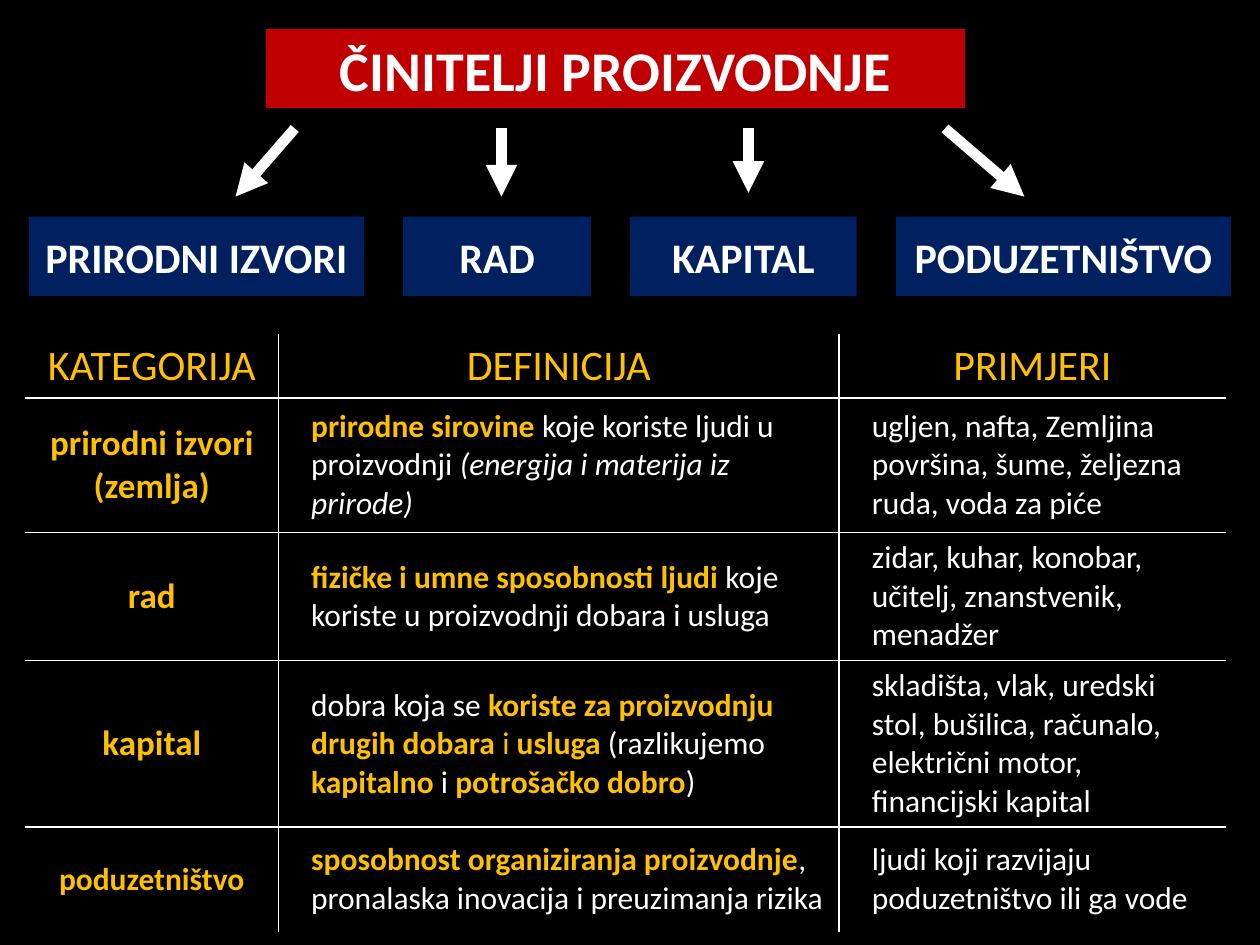
from lxml.etree import SubElement
from pptx import Presentation
from pptx.dml.color import RGBColor
from pptx.enum.shapes import MSO_CONNECTOR, MSO_SHAPE
from pptx.enum.text import MSO_ANCHOR, PP_ALIGN
from pptx.oxml.ns import qn
from pptx.util import Inches, Pt

BLACK, WHITE, GOLD, RED, NAVY = "000000", "FFFFFF", "FFC000", "C00000", "002060"
KEY, TERM, PLAIN, ASIDE = "key", "term", "plain", "aside"
STYLES = {  # name: (colour, bold, italic)
    KEY: (GOLD, True, False),
    TERM: (GOLD, False, False),
    PLAIN: (WHITE, False, False),
    ASIDE: (WHITE, False, True),
}
FACTORS = [
    ("PRIRODNI IZVORI", 0.23, 2.66),
    ("RAD", 3.2, 1.49),
    ("KAPITAL", 5, 1.8),
    ("PODUZETNIŠTVO", 7.11, 2.66),
]
ARROWS = [(2.34, 1.87, 1.56), (3.98, 3.98, 1.56), (5.94, 5.94, 1.53), (7.5, 8.13, 1.56)]
COLUMN_WIDTHS = [2.01, 4.45, 3.07]
ROW_HEIGHTS = [0.5, 1.07, 1.01, 1.32, 0.83]
HEADINGS = ["KATEGORIJA", "DEFINICIJA", "PRIMJERI"]
CATEGORIES = [
    ("prirodni izvori (zemlja)", 20,
     [("prirodne sirovine ", KEY), ("koje koriste ljudi u proizvodnji ", PLAIN),
      ("(energija i materija iz prirode)", ASIDE)],
     "ugljen, nafta, Zemljina površina, šume, željezna ruda, voda za piće"),
    ("rad", 20,
     [("fizičke i umne sposobnosti ljudi ", KEY),
      ("koje koriste u proizvodnji dobara i usluga", PLAIN)],
     "zidar, kuhar, konobar, učitelj, znanstvenik, menadžer"),
    ("kapital", 20,
     [("dobra koja se ", PLAIN), ("koriste za proizvodnju drugih dobara ", KEY),
      ("i ", TERM), ("usluga", KEY), (" (razlikujemo ", PLAIN), ("kapitalno ", KEY),
      ("i ", PLAIN), ("potrošačko dobro", KEY), (")", PLAIN)],
     "skladišta, vlak, uredski stol, bušilica, računalo, električni motor, "
     "financijski kapital"),
    ("poduzetništvo", 18,
     [("sposobnost organiziranja proizvodnje", KEY),
      (", pronalaska inovacija i preuzimanja rizika", PLAIN)],
     "ljudi koji razvijaju poduzetništvo ili ga vode"),
]


def color(value):
    """Turn a hex string into a colour."""
    return RGBColor.from_string(value)


def format_run(run, size, style):
    """Give a run its font, size and named style."""
    value, bold, italic = style
    run.font.name = "Calibri"
    run.font.size = Pt(size)
    run.font.color.rgb = color(value)
    run.font.bold = bold
    run.font.italic = italic


def add_box(slide, text, left, top, width, height, fill, size):
    """Add a filled rectangle with bold white centred text."""
    shape = slide.shapes.add_shape(
        MSO_SHAPE.RECTANGLE, Inches(left), Inches(top), Inches(width), Inches(height))
    shape.shadow.inherit = False
    shape.fill.solid()
    shape.fill.fore_color.rgb = color(fill)
    shape.line.fill.background()
    shape.text_frame.text = text
    shape.text_frame.vertical_anchor = MSO_ANCHOR.MIDDLE
    paragraph = shape.text_frame.paragraphs[0]
    paragraph.alignment = PP_ALIGN.CENTER
    format_run(paragraph.runs[0], size, (WHITE, True, False))


def add_arrow(slide, start_x, start_y, end_x, end_y):
    """Add a thick white arrow."""
    connector = slide.shapes.add_connector(
        MSO_CONNECTOR.STRAIGHT, Inches(start_x), Inches(start_y), Inches(end_x), Inches(end_y))
    connector.line.color.rgb = color(WHITE)
    connector.line.width = Pt(6)
    properties = connector.element.spPr
    SubElement(properties.find(qn("a:ln")), qn("a:tailEnd"), type="triangle")
    SubElement(properties, qn("a:effectLst"))


def add_diagram(slide, top):
    """Add the title, the four factors and the arrows between them."""
    add_box(slide, "ČINITELJI PROIZVODNJE", 2.11, top, 5.55, 0.63, RED, 32)
    for start_x, end_x, end_y in ARROWS:
        add_arrow(slide, start_x, top + 0.79, end_x, end_y)
    for text, left, width in FACTORS:
        add_box(slide, text, left, top + 1.49, width, 0.63, NAVY, 24)


def set_borders(cell, visible_sides):
    """Draw thin white borders on the visible sides and none elsewhere."""
    properties = cell._tc.get_or_add_tcPr()
    for side in "LRTB":
        line = SubElement(properties, qn(f"a:ln{side}"), w=str(Pt(1)))
        if side in visible_sides:
            fill = SubElement(line, qn("a:solidFill"))
            SubElement(fill, qn("a:srgbClr"), val=WHITE)
        else:
            SubElement(line, qn("a:noFill"))


def fill_cell(cell, pieces, size, centered):
    """Write styled pieces of text into a cell."""
    cell.vertical_anchor = MSO_ANCHOR.MIDDLE
    paragraph = cell.text_frame.paragraphs[0]
    if centered:
        paragraph.alignment = PP_ALIGN.CENTER
    else:
        paragraph.alignment = PP_ALIGN.LEFT
        paragraph_properties = paragraph._p.get_or_add_pPr()
        paragraph_properties.set("marL", str(Inches(0.16)))
        paragraph_properties.set("indent", "0")
    for text, style in pieces:
        run = paragraph.add_run()
        run.text = text
        format_run(run, size, STYLES[style])


def add_factor_table(slide, left, top):
    """Add the table of categories, definitions and examples."""
    table = slide.shapes.add_table(
        len(ROW_HEIGHTS), len(COLUMN_WIDTHS), Inches(left), Inches(top),
        Inches(sum(COLUMN_WIDTHS)), Inches(sum(ROW_HEIGHTS))).table
    table.first_row = table.horz_banding = False
    for column, width in zip(table.columns, COLUMN_WIDTHS):
        column.width = Inches(width)
    for row, height in zip(table.rows, ROW_HEIGHTS):
        row.height = Inches(height)
    contents = [[([(heading, TERM)], 24, True) for heading in HEADINGS]]
    for category, size, definition, examples in CATEGORIES:
        contents.append([([(category, KEY)], size, True),
                         (definition, 18, False),
                         ([(examples, PLAIN)], 18, False)])
    last_row, last_column = len(ROW_HEIGHTS) - 1, len(COLUMN_WIDTHS) - 1
    for row, row_contents in enumerate(contents):
        for column, (pieces, size, centered) in enumerate(row_contents):
            cell = table.cell(row, column)
            inner = {"L": column > 0, "R": column < last_column,
                     "T": row > 0, "B": row < last_row}
            set_borders(cell, [side for side, shown in inner.items() if shown])
            cell.fill.solid()
            cell.fill.fore_color.rgb = color(BLACK)
            fill_cell(cell, pieces, size, centered)


def main():
    """Build the slide and save it."""
    presentation = Presentation()
    presentation.slide_width, presentation.slide_height = Inches(10), Inches(7.5)
    slide = presentation.slides.add_slide(presentation.slide_layouts[6])
    slide.background.fill.solid()
    slide.background.fill.fore_color.rgb = color(BLACK)
    add_diagram(slide, 0.23)
    add_factor_table(slide, 0.2, 2.65)
    presentation.save("out.pptx")


if __name__ == "__main__":
    main()
